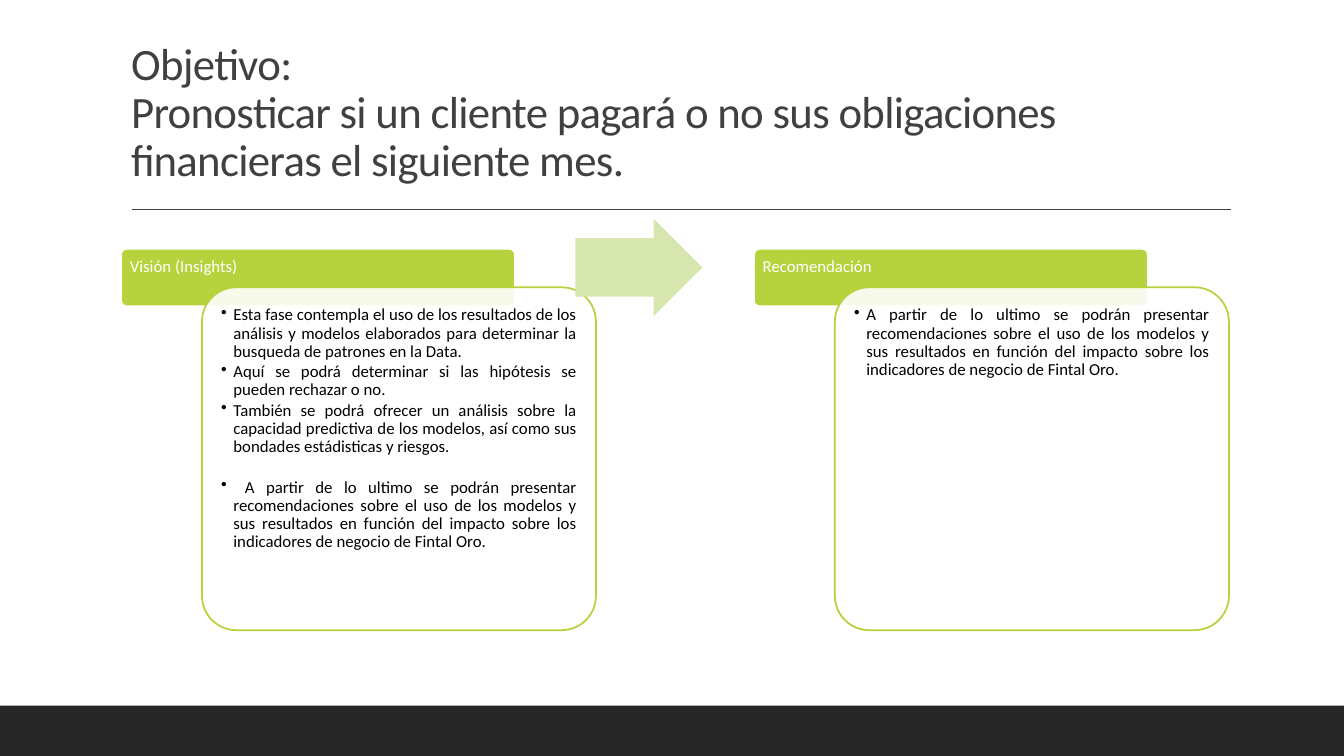
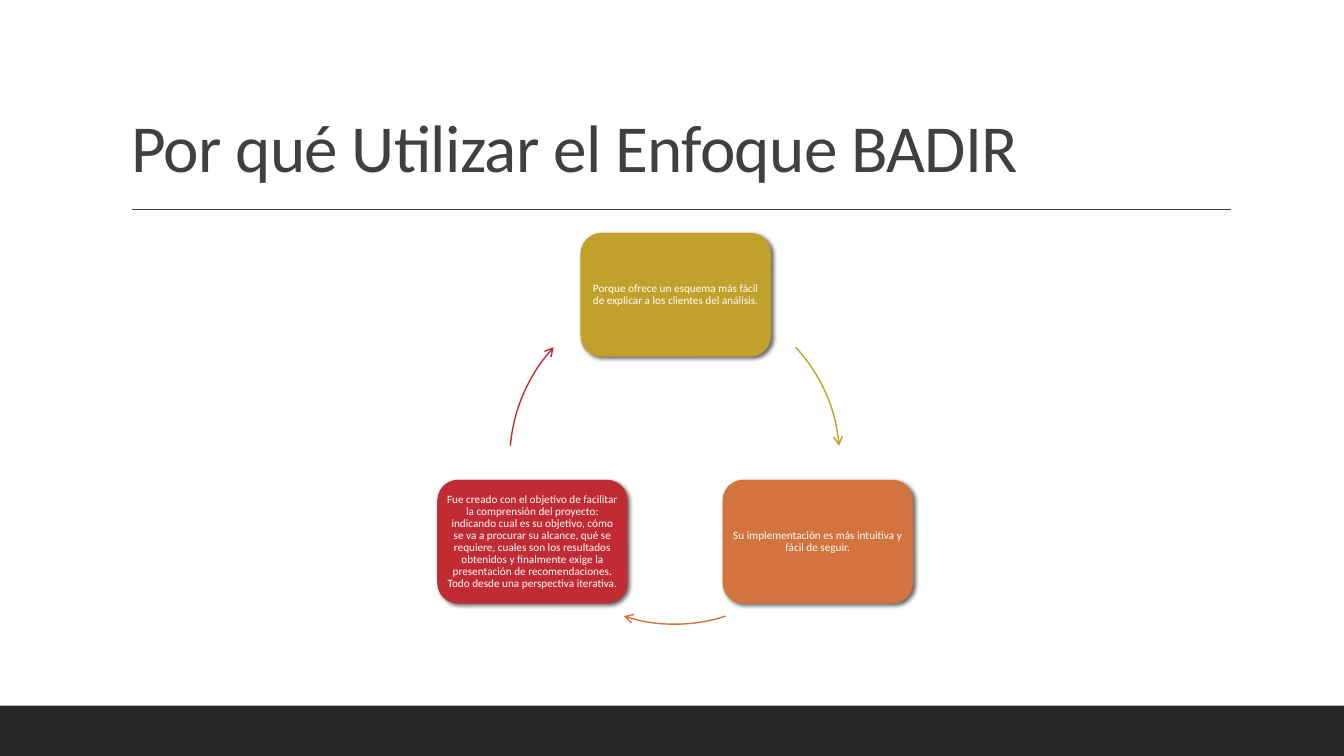
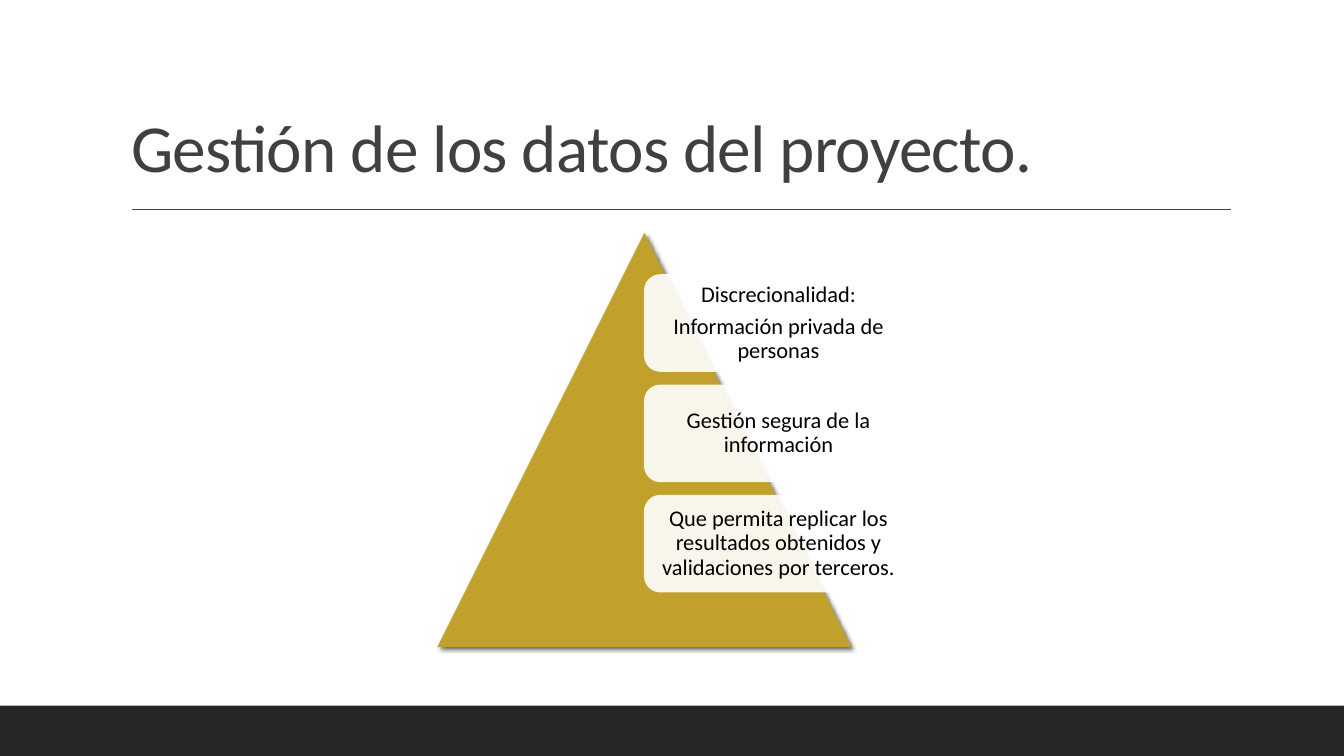
from lxml.etree import SubElement
from pptx import Presentation
from pptx.dml.color import RGBColor
from pptx.enum.shapes import MSO_CONNECTOR as Connector, MSO_SHAPE as Preset
from pptx.enum.text import MSO_ANCHOR as Anchor, MSO_AUTO_SIZE as AutoSize, PP_ALIGN as Align
from pptx.oxml.ns import qn
from pptx.util import Cm, Pt

WIDTH, HEIGHT = 33.87, 19.05
TITLE_ONLY = 5
FONT = "Calibri"
WHITE, BLACK, DARK, BAND = "FFFFFF", "000000", "404040", "262626"
LIME, PALE_LIME = "B6D33D", "D7E6AF"
GOLD, ORANGE, RED = "C1A02B", "D3733D", "C12B33"


def color(hex_code):
    """Turn a hex string into a colour."""
    return RGBColor.from_string(hex_code)


def lengths(*values):
    """Turn numbers in centimetres into lengths."""
    return [Cm(value) for value in values]


class Deck:
    """The presentation, its shared style and the current slide."""

    def __init__(self):
        """Start an empty wide presentation."""
        self.presentation = Presentation()
        self.presentation.slide_width, self.presentation.slide_height = lengths(WIDTH, HEIGHT)
        self.layout = self.presentation.slide_layouts[TITLE_ONLY]
        self.slide = None

    def add_slide(self, title, size=48):
        """Add a slide with its title; the first one also fills the layout."""
        first = self.slide is None
        self.slide = self.presentation.slides.add_slide(self.layout)
        if first:
            self.decorate_layout()
        shape = self.slide.shapes.title
        shape.left, shape.top, shape.width, shape.height = lengths(3.05, 0.79, 27.94, 4.04)
        self.set_text(shape, [title], size, DARK, Align.LEFT, Anchor.BOTTOM)
        shape.text_frame.auto_size = AutoSize.NONE
        for paragraph in shape.text_frame.paragraphs:
            paragraph._p.pPr.find(qn("a:defRPr")).set("spc", "-50")

    def decorate_layout(self):
        """Give the layout the bottom band and the rule below the title."""
        band = self.shape(Preset.RECTANGLE, (0, 17.78, WIDTH, 1.27), BAND)
        rule = self.slide.shapes.add_connector(Connector.STRAIGHT, *lengths(3.33, 5.28, 31.01, 5.28))
        rule.line.color.rgb = color(DARK)
        rule.line.width = Pt(1)
        SubElement(rule.element.spPr, qn("a:effectLst"))
        for item in (band, rule):
            self.layout.shapes.element.append(item.element)

    def shape(self, preset, box, fill=None, line=None, line_width=1.25,
              adjust=(), opacity=100, shadow=False):
        """Add a preset shape; box is left, top, width, height."""
        shape = self.slide.shapes.add_shape(preset, *lengths(*box))
        for index, value in enumerate(adjust):
            shape.adjustments[index] = value
        if fill:
            shape.fill.solid()
            shape.fill.fore_color.rgb = color(fill)
        else:
            shape.fill.background()
        if line:
            shape.line.color.rgb = color(line)
            shape.line.width = Pt(line_width)
        else:
            shape.line.fill.background()
        shape.shadow.inherit = False
        properties = shape.element.spPr
        if opacity < 100:
            tone = properties.find(qn("a:solidFill")).find(qn("a:srgbClr"))
            SubElement(tone, qn("a:alpha"), val=str(opacity * 1000))
        if shadow:
            outer = SubElement(properties.find(qn("a:effectLst")), qn("a:outerShdw"),
                               blurRad=str(Pt(3)), dist=str(Pt(2)), dir="2700000",
                               algn="ctr", rotWithShape="0")
            tone = SubElement(outer, qn("a:srgbClr"), val=BLACK)
            SubElement(tone, qn("a:alpha"), val="60000")
        return shape

    def set_text(self, shape, texts, size, text_color, align=Align.CENTER,
                 anchor=Anchor.MIDDLE, margins=None, after=0):
        """Put paragraphs into a shape in one style."""
        frame = shape.text_frame
        frame.word_wrap = True
        frame.vertical_anchor = anchor
        if margins:
            (frame.margin_left, frame.margin_top,
             frame.margin_right, frame.margin_bottom) = lengths(*margins)
        for index, text in enumerate(texts):
            paragraph = frame.add_paragraph() if index else frame.paragraphs[0]
            paragraph.text = text
            paragraph.alignment = align
            paragraph.line_spacing = 0.9
            paragraph.space_after = Pt(after)
            font = paragraph.font
            font.name, font.size, font.color.rgb = FONT, Pt(size), color(text_color)

    def bullets(self, shape):
        """Give every paragraph of a shape a hanging bullet."""
        for paragraph in shape.text_frame.paragraphs:
            properties = paragraph._p.get_or_add_pPr()
            properties.set("marL", str(Cm(0.31)))
            properties.set("indent", str(-Cm(0.31)))
            bullet = SubElement(properties, qn("a:buChar"), char="•")
            properties.find(qn("a:defRPr")).addprevious(bullet)

    def panel(self, left, heading, points):
        """Add a heading bar with a bulleted panel over its lower edge."""
        bar = self.shape(Preset.ROUNDED_RECTANGLE, (left, 6.27, 9.93, 1.45), LIME, WHITE, adjust=[0.1])
        self.set_text(bar, [heading], 12, WHITE, Align.LEFT, Anchor.TOP, (0.18, 0.18, 0.18, 0.13))
        body = self.shape(Preset.ROUNDED_RECTANGLE, (left + 2.04, 7.24, 9.93, 8.64), WHITE, LIME,
                          adjust=[0.1], opacity=90)
        self.set_text(body, points, 12, BLACK, Align.JUSTIFY, Anchor.TOP, [0.23] * 4, after=1.6)
        self.bullets(body)
        return body

    def card(self, box, texts, size, text_color, fill, margin, **style):
        """Add a rounded card with centred text."""
        shape = self.shape(Preset.ROUNDED_RECTANGLE, box, fill, **style)
        self.set_text(shape, texts, size, text_color, margins=[margin] * 4, after=size * 0.35)

    def arc_arrow(self, box, start, end, line):
        """Add a clockwise arc, in degrees, with an arrowhead at its end."""
        arc = self.shape(Preset.ARC, box, line=line, line_width=1, adjust=[start * 0.6, end * 0.6])
        SubElement(arc.element.spPr.find(qn("a:ln")), qn("a:tailEnd"), type="arrow")


def objective(deck):
    """Build the slide on insights and recommendation."""
    deck.add_slide("Objetivo:\vPronosticar si un cliente pagará o no sus obligaciones "
                   "financieras el siguiente mes.", 32)
    advice = ("A partir de lo ultimo se podrán presentar recomendaciones sobre el uso de los modelos "
              "y sus resultados en función del impacto sobre los indicadores de negocio de Fintal Oro.")
    insights = deck.panel(3.05, "Visión (Insights)", [
        "Esta fase contempla el uso de los resultados de los análisis y modelos elaborados "
        "para determinar la busqueda de patrones en la Data.",
        "Aquí se podrá determinar si las hipótesis se pueden rechazar o no.",
        "También se podrá ofrecer un análisis sobre la capacidad predictiva de los modelos, "
        "así como sus bondades estádisticas y riesgos.",
        " " + advice])
    insights.text_frame.paragraphs[-1].space_before = Pt(14.7)
    deck.shape(Preset.RIGHT_ARROW, (14.5, 5.51, 3.2, 2.46), PALE_LIME, adjust=[0.6, 0.5])
    deck.panel(19, "Recomendación", [advice])


def approach(deck):
    """Build the cycle of three reasons."""
    deck.add_slide("Por qué Utilizar el Enfoque BADIR")
    circle = (12.85, 7.42, 8.31, 8.31)
    reasons = [
        (14.63, 5.87, GOLD, 317.2, 355.3,
         "Porque ofrece un esquema más fácil de explicar a los clientes del análisis."),
        (18.21, 12.09, ORANGE, 72, 108, "Su implementación es más intuitiva y fácil de seguir."),
        (11.02, 12.09, RED, 184.7, 222.8,
         "Fue creado con el objetivo de facilitar la comprensión del proyecto: indicando cual es su "
         "objetivo, cómo se va a procurar su alcance, qué se requiere, cuales son los resultados "
         "obtenidos y finalmente exige la presentación de recomendaciones. "
         "Todo desde una perspectiva iterativa.")]
    for left, top, tone, start, end, text in reasons:
        deck.card((left, top, 4.8, 3.12), [text], 8, WHITE, tone, 0.08, shadow=True)
        deck.arc_arrow(circle, start, end, tone)


def data_management(deck):
    """Build the pyramid with three principles."""
    deck.add_slide("Gestión de los datos del proyecto.")
    deck.shape(Preset.ISOSCELES_TRIANGLE, (11.02, 5.87, 10.44, 10.44), GOLD, shadow=True)
    principles = [["Discrecionalidad:", "Información privada de personas"],
                  ["Gestión segura de la información"],
                  ["Que permita replicar los resultados obtenidos y validaciones por terceros."]]
    for row, texts in enumerate(principles):
        deck.card((16.23, 6.91 + row * 2.78, 6.78, 2.46), texts, 16, BLACK, WHITE, 0.18, opacity=90)


def main():
    """Build the slides and save them."""
    deck = Deck()
    for build in (objective, approach, data_management):
        build(deck)
    deck.presentation.save("out.pptx")


main()
